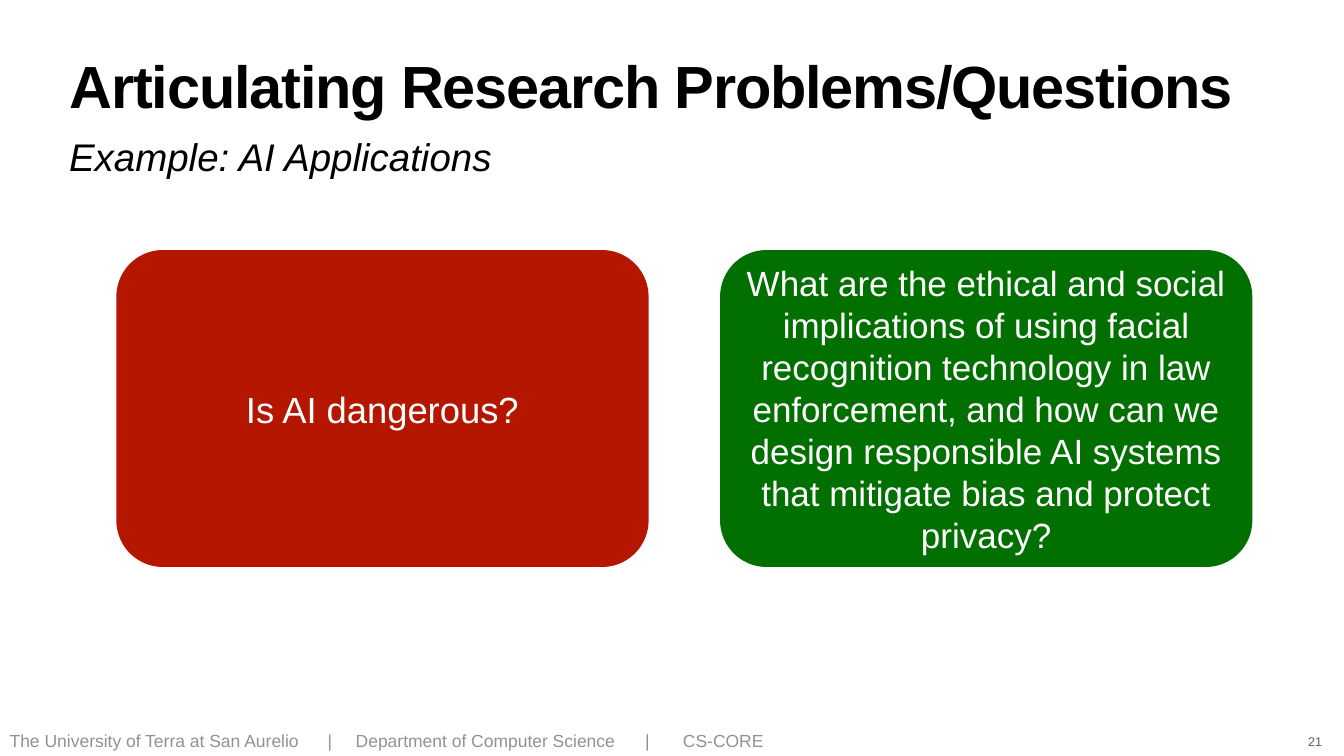
from dataclasses import dataclass

from lxml import etree
from pptx import Presentation
from pptx import util as u
from pptx.dml.color import RGBColor
from pptx.enum import shapes, text
from pptx.oxml.ns import qn

WIDE, HIGH = 26.67, 15


@dataclass(frozen=True)
class Theme:
    """Hold the colours, font and type sizes of the slide."""
    font: str = "Arial"
    ink: str = "000000"
    white: str = "FFFFFF"
    red: str = "B51600"
    green: str = "027001"
    grey: str = "929292"
    dark: str = "5E5E5E"
    title: int = 85
    lead: int = 55
    short: int = 52
    long: int = 50
    foot: int = 25
    page: int = 18


LOOK = Theme()


def area(left, top, width, height):
    """Turn percentages of the slide into a box of lengths."""
    return [u.Inches(share * side / 100) for share, side in
            zip((left, top, width, height), (WIDE, HIGH, WIDE, HIGH))]


def write(shape, words, size, color, anchor=text.MSO_ANCHOR.TOP,
          align=text.PP_ALIGN.LEFT, inset=0.06, wrap=True, bold=False,
          italic=False, line=None):
    """Write one run into a shape and return its paragraph and run."""
    frame = shape.text_frame
    frame.word_wrap = wrap
    frame.vertical_anchor = anchor
    frame.margin_left = frame.margin_right = u.Inches(inset)
    frame.margin_top = frame.margin_bottom = u.Inches(inset)
    para = frame.paragraphs[0]
    para.alignment = align
    if line:
        para.line_spacing = line
    run = para.add_run()
    run.text = words
    font = run.font
    font.name, font.size = LOOK.font, u.Pt(size)
    font.bold, font.italic = bold, italic
    font.color.rgb = RGBColor.from_string(color)
    return para, run


def label(slide, box, words, size, color, **style):
    """Add a text box with one run."""
    return write(slide.shapes.add_textbox(*area(*box)), words, size, color, **style)


def card(slide, box, words, size, fill):
    """Add a filled rounded card with centred text."""
    shape = slide.shapes.add_shape(shapes.MSO_SHAPE.ROUNDED_RECTANGLE, *area(*box))
    shape.adjustments[0] = 0.147
    shape.shadow.inherit = False
    shape.fill.solid()
    shape.fill.fore_color.rgb = RGBColor.from_string(fill)
    shape.line.fill.background()
    write(shape, words, size, LOOK.white, anchor=text.MSO_ANCHOR.MIDDLE,
          align=text.PP_ALIGN.CENTER)


def tabs(para, stops):
    """Set left tab stops, in percent of the slide width."""
    group = etree.SubElement(para._p.get_or_add_pPr(), qn("a:tabLst"))
    for stop in stops:
        etree.SubElement(group, qn("a:tab"), algn="l",
                         pos=str(u.Inches(stop * WIDE / 100)))


def footer(slide):
    """Add the footer line and the page number."""
    parts = ("The University of Terra at San Aurelio", "|",
             "Department of Computer Science", "|", "CS-CORE")
    para, _ = label(slide, (0.49, 96.33, 95.54, 3.47), "\t".join(parts),
                    LOOK.foot, LOOK.grey, anchor=text.MSO_ANCHOR.MIDDLE, line=0.9)
    tabs(para, (23.66, 25.75, 47.28, 50.1))
    label(slide, (97.11, 96.73, 1.5, 2.73), "21", LOOK.page, LOOK.dark,
          anchor=text.MSO_ANCHOR.BOTTOM, align=text.PP_ALIGN.CENTER, wrap=False)


def header(slide):
    """Add the title and the line below it."""
    _, run = label(slide, (4.95, 7.87, 90.1, 10.47),
                   "Articulating Research Problems/Questions",
                   LOOK.title, LOOK.ink, bold=True, line=0.8)
    run._r.get_or_add_rPr().set("spc", "-170")
    label(slide, (4.95, 17.33, 90.1, 6.8), "Example: AI Applications",
          LOOK.lead, LOOK.ink, italic=True, inset=0.05)


def main():
    """Build and save the slide."""
    deck = Presentation()
    deck.slide_width, deck.slide_height = u.Inches(WIDE), u.Inches(HIGH)
    slide = deck.slides.add_slide(deck.slide_layouts[6])
    footer(slide)
    header(slide)
    cards = (
        ("Is AI dangerous?", LOOK.short, LOOK.red),
        ("What are the ethical and social implications of using facial "
         "recognition technology in law enforcement, and how can we design "
         "responsible AI systems that mitigate bias and protect privacy?",
         LOOK.long, LOOK.green),
    )
    for col, item in enumerate(cards):
        card(slide, (8.66 + col * 44.92, 33.07, 39.6, 41.93), *item)
    deck.save("out.pptx")


if __name__ == "__main__":
    main()
